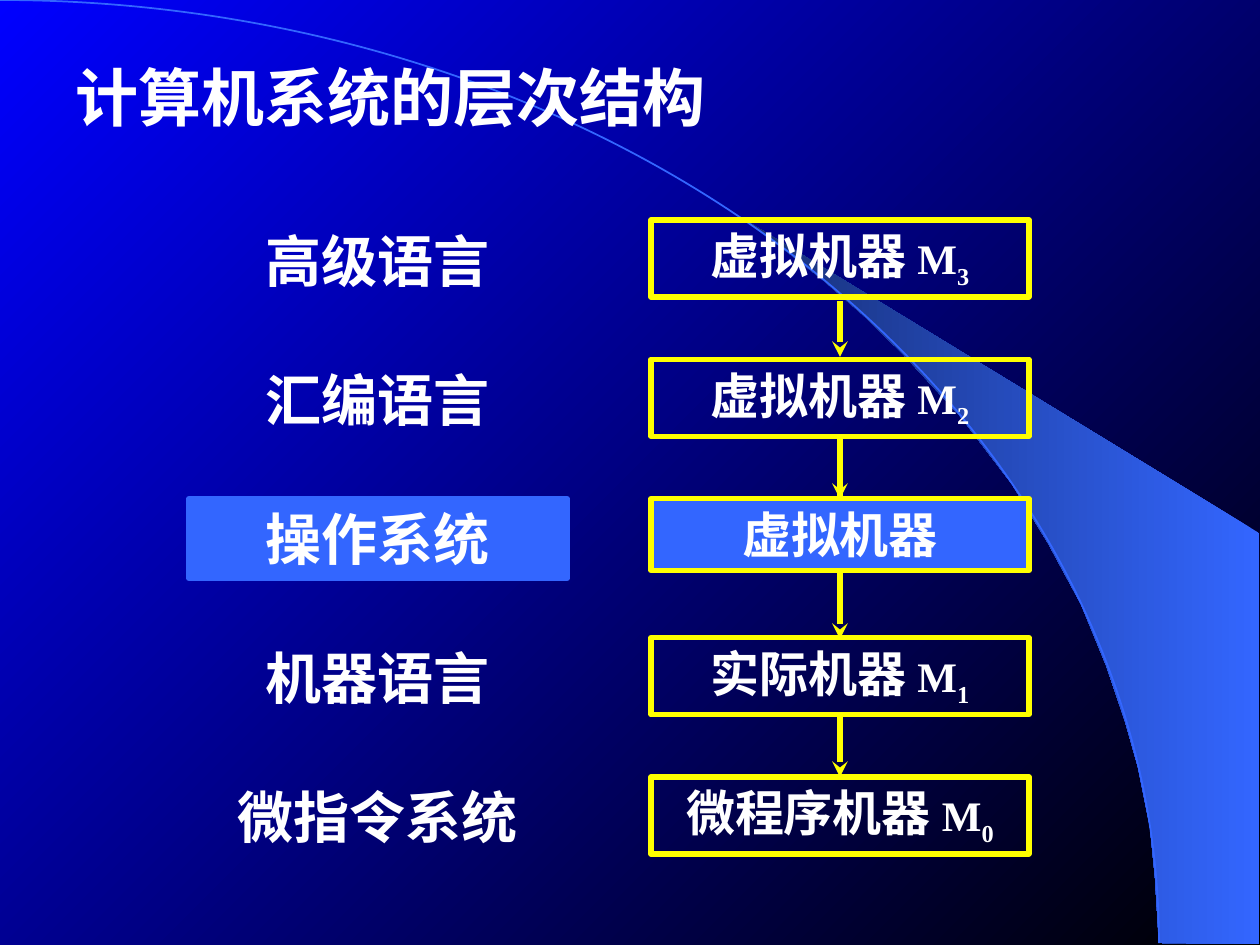
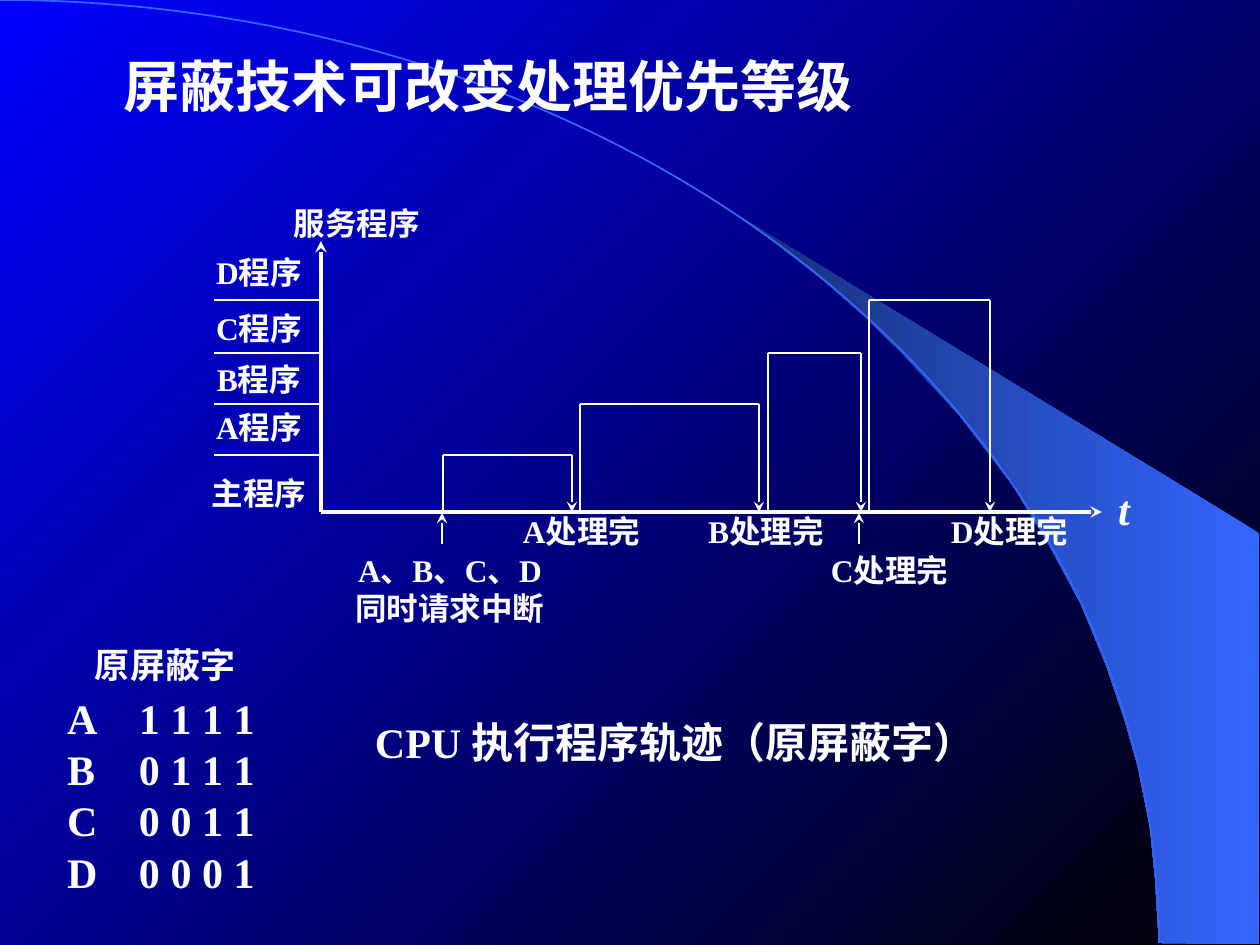
import pptx
import pptx.util
import pptx.dml.color
import pptx.enum.dml
import pptx.enum.shapes
import pptx.enum.text
import pptx.oxml.ns
from lxml import etree

RGBColor = pptx.dml.color.RGBColor
BLACK = RGBColor(0x00, 0x00, 0x00)
DEEP_BLUE = RGBColor(0x00, 0x00, 0xFF)
BLUE = RGBColor(0x33, 0x66, 0xFF)
DARK_BLUE = RGBColor(0x17, 0x2F, 0x75)
YELLOW = RGBColor(0xFF, 0xFF, 0x00)
WHITE = RGBColor(0xFF, 0xFF, 0xFF)

SERIF = "Times New Roman"
CJK = "Noto Sans CJK SC"
LEFT = pptx.enum.text.PP_ALIGN.LEFT
CENTER = pptx.enum.text.PP_ALIGN.CENTER
TOP = pptx.enum.text.MSO_ANCHOR.TOP
MIDDLE = pptx.enum.text.MSO_ANCHOR.MIDDLE
SHAPES = pptx.enum.shapes.MSO_SHAPE
STRAIGHT = pptx.enum.shapes.MSO_CONNECTOR.STRAIGHT

EMU_PER_PX = 914400 / 126
SLIDE_SIZE = (1260, 945)
INSETS = (13, 6)
NO_INSETS = (0, 0)

WEDGE = [
    (1159, 943), (1259, 944), (1259, 533), (742, 218), (786, 251), (823, 280),
    (863, 315), (902, 353), (960, 416), (1012, 484), (1048, 543), (1081, 604),
    (1106, 665), (1125, 721), (1138, 767), (1150, 827), (1155, 877),
]
ARC = (-1159, 0, 2318, 1886)

LAYERS_TITLE = "计算机系统的层次结构"
LAYERS = [
    ("高级语言", "虚拟机器", "3"),
    ("汇编语言", "虚拟机器", "2"),
    ("操作系统", "虚拟机器", ""),
    ("机器语言", "实际机器", "1"),
    ("微指令系统", "微程序机器", "0"),
]
LAYER_TOP, LAYER_BOTTOM = 220, 777
LANGUAGE_LEFT, MACHINE_LEFT, LAYER_WIDTH = 189, 651, 378
LANGUAGE_HEIGHT, MACHINE_HEIGHT, SYSTEM_HEIGHT = 80, 77, 72
LAYER_ARROWS = [(301, 357), (438, 639), (438, 499), (716, 777)]

MASK_TITLE = "屏蔽技术可改变处理优先等级"
AXIS_LEFT, AXIS_TOP, AXIS_RIGHT, AXIS_BOTTOM = 321, 241, 1102, 512
TICK_LEFT = 214
PULSES = [
    (443, 572, 455, 1.5),
    (580, 759, 404, 1),
    (768, 861, 353, 1),
    (869, 990, 300, 1.5),
]
REQUEST_ARROWS = [442, 859]
PROGRAM_LABELS = [("D程序", 253), ("C程序", 309), ("B程序", 360), ("A程序", 408), ("主程序", 474)]
CHART_LABELS = [
    (["服务程序"], (270, 204, 173, 48)),
    (["A处理完"], (513, 512, 137, 45)),
    (["B处理完"], (689, 512, 154, 40)),
    (["C处理完"], (814, 551, 151, 44)),
    (["D处理完"], (941, 512, 137, 45)),
    (["A、B、C、D", "同时请求中断"], (354, 551, 192, 72)),
]
CHART_CAPTION = "CPU 执行程序轨迹（原屏蔽字）"
MASK_HEADING = "原屏蔽字"
MASKS = ["A\t1 1 1 1", "B\t0 1 1 1", "C\t0 0 1 1", "D\t0 0 0 1"]
MASK_INDENT, MASK_TAB = 28, 72


def px(length):
    return pptx.util.Emu(round(length * EMU_PER_PX))


def apply(target, values):
    for name, value in values.items():
        setattr(target, name, value)


def add_run(paragraph, text, size, name=SERIF, baseline=0, italic=False):
    run = paragraph.add_run()
    run.text = text
    apply(run.font, {"size": pptx.util.Pt(size), "name": name, "bold": True, "italic": italic})
    run.font.color.rgb = WHITE
    properties = run.font._element
    if baseline:
        properties.set("baseline", str(baseline * 1000))
    latin = properties.find(pptx.oxml.ns.qn("a:latin"))
    east_asian = etree.Element(pptx.oxml.ns.qn("a:ea"), typeface=CJK)
    latin.addnext(east_asian)


def set_frame(shape, insets=INSETS, anchor=TOP):
    side, edge = (px(inset) for inset in insets)
    frame = shape.text_frame
    apply(frame, {
        "word_wrap": True, "vertical_anchor": anchor,
        "margin_left": side, "margin_right": side, "margin_top": edge, "margin_bottom": edge,
    })
    return frame


def add_text(slide, lines, box, size, name=SERIF, alignment=CENTER,
             insets=NO_INSETS, anchor=TOP, italic=False):
    shape = slide.shapes.add_textbox(*map(px, box))
    frame = set_frame(shape, insets, anchor)
    for index, line in enumerate(lines):
        paragraph = frame.add_paragraph() if index else frame.paragraphs[0]
        paragraph.alignment = alignment
        add_run(paragraph, line, size, name, italic=italic)
    return frame


def add_box(slide, box, line_color, fill_color=None):
    shape = slide.shapes.add_shape(SHAPES.RECTANGLE, *map(px, box))
    shape.shadow.inherit = False
    if fill_color is None:
        shape.fill.background()
    else:
        shape.fill.solid()
        shape.fill.fore_color.rgb = fill_color
    shape.line.color.rgb = line_color
    shape.line.width = pptx.util.Pt(3)
    return shape


def add_line(slide, start, end, width, color=WHITE, arrow=False):
    connector = slide.shapes.add_connector(STRAIGHT, *map(px, start + end))
    connector.line.color.rgb = color
    connector.line.width = pptx.util.Pt(width)
    if arrow:
        line = connector.line._get_or_add_ln()
        etree.SubElement(line, pptx.oxml.ns.qn("a:tailEnd"), type="stealth")
    etree.SubElement(connector._element.spPr, pptx.oxml.ns.qn("a:effectLst"))


def set_gradient(fill, angle, colors):
    fill.gradient()
    fill.gradient_angle = angle
    for stop, position, color in zip(fill.gradient_stops, (0, 1), colors):
        stop.position = position
        stop.color.rgb = color


def add_slide(presentation):
    slide = presentation.slides.add_slide(presentation.slide_layouts[6])
    set_gradient(slide.background.fill, 135, (BLACK, DEEP_BLUE))
    builder = slide.shapes.build_freeform(*WEDGE[0], scale=EMU_PER_PX)
    builder.add_line_segments(WEDGE[1:], close=True)
    wedge = builder.convert_to_shape()
    wedge.shadow.inherit = False
    set_gradient(wedge.fill, 180, (BLUE, DARK_BLUE))
    wedge.line.fill.background()
    arc = slide.shapes.add_shape(SHAPES.ARC, *map(px, ARC))
    arc.shadow.inherit = False
    arc.fill.background()
    arc.line.color.rgb = BLUE
    arc.line.width = pptx.util.Pt(1)
    return slide


def add_layers_slide(presentation):
    slide = add_slide(presentation)
    add_text(slide, [LAYERS_TITLE], (63, 53, 1071, 126), 36, alignment=LEFT, insets=INSETS)
    middle = MACHINE_LEFT + LAYER_WIDTH // 2
    for start, end in LAYER_ARROWS:
        add_line(slide, (middle, start), (middle, end), 3, YELLOW, arrow=True)
    pitch = (LAYER_BOTTOM - LAYER_TOP) / (len(LAYERS) - 1)
    for index, (language, machine, level) in enumerate(LAYERS):
        top = LAYER_TOP + index * pitch
        language_box = (LANGUAGE_LEFT, top, LAYER_WIDTH, LANGUAGE_HEIGHT)
        if not level:
            add_box(slide, language_box, BLUE, BLUE)
        add_text(slide, [language], language_box, 32, CJK, insets=INSETS)
        height = MACHINE_HEIGHT if level else SYSTEM_HEIGHT
        machine_box = add_box(slide, (MACHINE_LEFT, top, LAYER_WIDTH, height),
                              YELLOW, None if level else BLUE)
        paragraph = set_frame(machine_box).paragraphs[0]
        paragraph.alignment = CENTER
        add_run(paragraph, machine + " " if level else machine, 28, CJK)
        if level:
            add_run(paragraph, "M", 24)
            add_run(paragraph, level, 24, baseline=-25)


def add_trace(slide):
    origin = (AXIS_LEFT, AXIS_BOTTOM)
    add_line(slide, origin, (AXIS_RIGHT, AXIS_BOTTOM), 2.25, arrow=True)
    add_line(slide, origin, (AXIS_LEFT, AXIS_TOP), 2.25, arrow=True)
    for left, right, top, fall_width in PULSES:
        add_line(slide, (TICK_LEFT, top), (AXIS_LEFT, top), 0.75)
        add_line(slide, (left, AXIS_BOTTOM), (left, top), 1.5)
        add_line(slide, (left, top), (right, top), 1.5)
        add_line(slide, (right, top), (right, AXIS_BOTTOM), fall_width, arrow=True)
    for left in REQUEST_ARROWS:
        add_line(slide, (left, 544), (left, AXIS_BOTTOM + 1), 0.75, arrow=True)
    for label, top in PROGRAM_LABELS:
        add_text(slide, [label], (203, top, 112, 47), 18)
    for lines, box in CHART_LABELS:
        add_text(slide, lines, box, 18)
    add_text(slide, ["t"], (1092, 483, 64, 47), 24, italic=True)


def add_masks(slide):
    frame = add_text(slide, [MASK_HEADING], (54, 638, 258, 263), 20, CJK, LEFT, INSETS)
    heading = frame.paragraphs[0]
    heading.space_after = pptx.util.Pt(1)
    heading._p.get_or_add_pPr().set("marL", str(px(MASK_INDENT)))
    for mask in MASKS:
        paragraph = frame.add_paragraph()
        apply(paragraph, {"line_spacing": 0.5, "space_before": pptx.util.Pt(15)})
        tabs = etree.SubElement(paragraph._p.get_or_add_pPr(), pptx.oxml.ns.qn("a:tabLst"))
        etree.SubElement(tabs, pptx.oxml.ns.qn("a:tab"), pos=str(px(MASK_TAB)), algn="l")
        add_run(paragraph, mask, 24)


def add_mask_slide(presentation):
    slide = add_slide(presentation)
    add_text(slide, [MASK_TITLE], (124, 55, 983, 60), 32, alignment=LEFT, anchor=MIDDLE)
    add_trace(slide)
    add_text(slide, [CHART_CAPTION], (362, 711, 714, 63), 24, alignment=LEFT, insets=INSETS)
    add_masks(slide)


def main():
    presentation = pptx.Presentation()
    presentation.slide_width, presentation.slide_height = map(px, SLIDE_SIZE)
    add_layers_slide(presentation)
    add_mask_slide(presentation)
    presentation.save("out.pptx")


if __name__ == "__main__":
    main()
